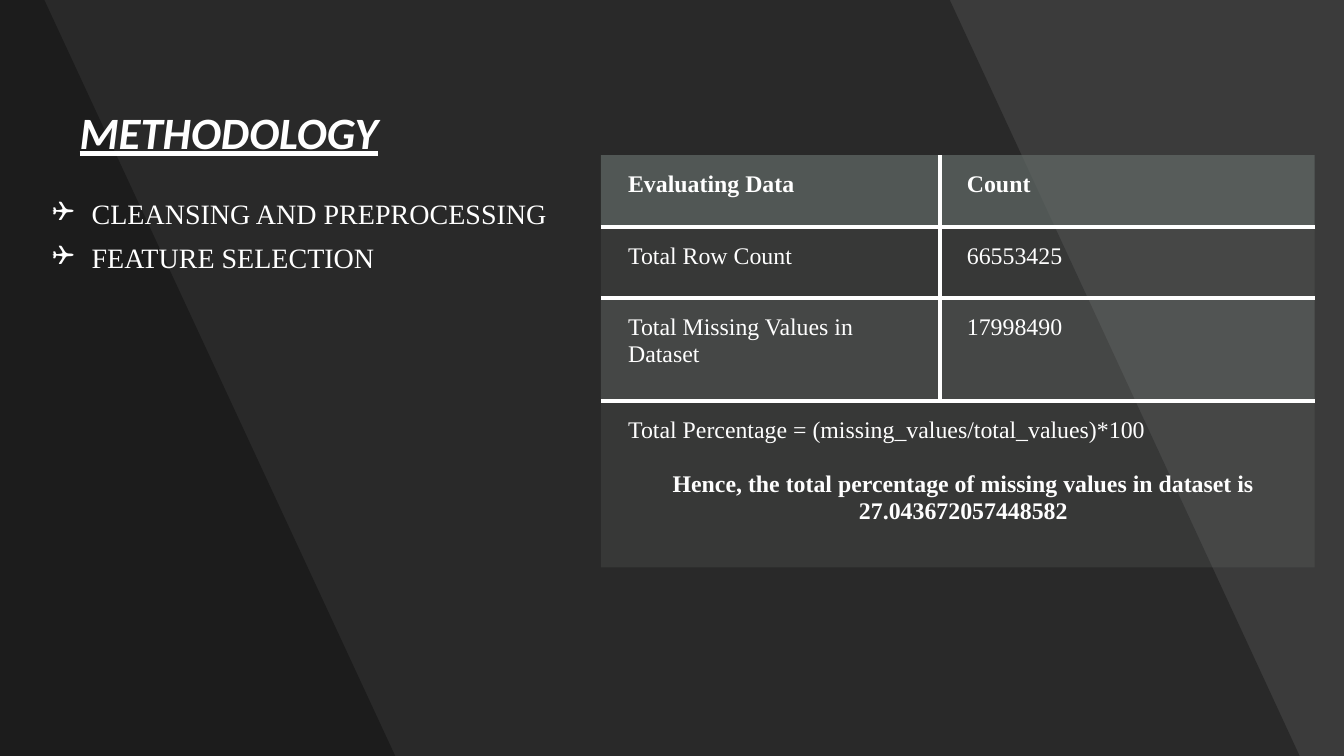
from lxml import etree
from pptx import Presentation
from pptx.dml.color import RGBColor
from pptx.enum.shapes import MSO_SHAPE as Preset
from pptx.enum.text import MSO_ANCHOR as Anchor, PP_ALIGN as Align
from pptx.oxml.ns import qn
from pptx.util import Inches, Pt

WIDTH, HEIGHT = 13.33, 7.5
WHITE, OFF_WHITE, BLACK = "FFFFFF", "FEFEFE", "000000"
HEADER_FILL, BODY_FILL = "636B68", "878E8B"
SERIF = "Times New Roman"

COLUMN_WIDTHS = [3.36, 3.72]
ROW_HEIGHTS = [0.71, 0.71, 1.02, 1.65]
ROW_FILLS = [(HEADER_FILL, 70), (BODY_FILL, 15), (BODY_FILL, 30), (BODY_FILL, 15)]
COUNTS = [
    ("Evaluating Data", "Count"),
    ("Total Row Count", "66553425"),
    ("Total Missing Values in Dataset", "17998490"),
]
FORMULA = "Total Percentage = (missing_values/total_values)*100"
CONCLUSION = "Hence, the total percentage of missing values in dataset is 27.043672057448582"


def rgb(color):
    return RGBColor.from_string(color)


def fill_translucent(fill, properties, color, opacity):
    """Fill with a colour at an opacity in percent; properties holds the fill's XML."""
    fill.solid()
    fill.fore_color.rgb = rgb(color)
    tint = properties.find(qn("a:solidFill")).find(qn("a:srgbClr"))
    etree.SubElement(tint, qn("a:alpha"), val=str(opacity * 1000))


def shade(shape, opacity):
    fill_translucent(shape.fill, shape._element.spPr, BLACK, opacity)
    shape.line.fill.background()
    shape.shadow.inherit = False


def add_slanted_band(slide, top_right, bottom_right):
    """Darken the area left of a slanted edge."""
    outline = slide.shapes.build_freeform(0, 0)
    corners = [(top_right, 0), (bottom_right, HEIGHT), (0, HEIGHT)]
    outline.add_line_segments([(Inches(x), Inches(y)) for x, y in corners])
    shade(outline.convert_to_shape(), 30)


def style(paragraph, size, font=SERIF, color=WHITE, bold=False):
    for run in paragraph.runs:
        run.font.size = Pt(size)
        run.font.name = font
        run.font.color.rgb = rgb(color)
        run.font.bold = bold


def add_text_frame(slide, left, top, width, height, anchor=Anchor.TOP):
    box = slide.shapes.add_textbox(*map(Inches, (left, top, width, height)))
    box.text_frame.word_wrap = True
    box.text_frame.vertical_anchor = anchor
    return box.text_frame


def add_title(slide, text):
    title = add_text_frame(slide, 0.69, 0.61, 11.51, 1.45, Anchor.MIDDLE).paragraphs[0]
    title.text = text
    title.line_spacing = 0.9
    style(title, 32, "Calibri", bold=True)
    title.runs[0].font.italic = True
    title.runs[0].font.underline = True


def add_bullet(paragraph, symbol):
    properties = paragraph._p.get_or_add_pPr()
    properties.set("marL", str(Inches(0.39)))
    properties.set("indent", str(Inches(-0.39)))
    bullet_color = etree.SubElement(properties, qn("a:buClr"))
    etree.SubElement(bullet_color, qn("a:srgbClr"), val=WHITE)
    etree.SubElement(properties, qn("a:buFont"), typeface="Wingdings")
    etree.SubElement(properties, qn("a:buChar"), char=symbol)


def add_checklist(slide, items):
    frame = add_text_frame(slide, 0.42, 1.94, 5.4, 4.36)
    frame.text = "\n".join(items)
    for index, item in enumerate(frame.paragraphs):
        add_bullet(item, "❑")
        item.line_spacing = 0.9
        if index:
            item.space_before = Pt(10)
        style(item, 20)


def set_borders(cell, visible):
    """Draw white lines on the named sides and clear the other sides."""
    properties = cell._tc.get_or_add_tcPr()
    for position, side in enumerate("LRTB"):
        line = etree.Element(qn(f"a:ln{side}"), w=str(Pt(3)))
        if side in visible:
            paint = etree.SubElement(line, qn("a:solidFill"))
            etree.SubElement(paint, qn("a:srgbClr"), val=WHITE)
        else:
            etree.SubElement(line, qn("a:noFill"))
        properties.insert(position, line)


def format_cell(cell, row, column):
    cell.margin_left = Inches(0.27)
    cell.margin_right = cell.margin_top = cell.margin_bottom = Inches(0.16)
    fill_translucent(cell.fill, cell._tc.get_or_add_tcPr(), *ROW_FILLS[row])
    last = len(ROW_HEIGHTS) - 1
    sides = "T" if row > 0 else ""
    if row < last:
        sides += "B" + "RL"[column]
    set_borders(cell, sides)


def add_counts_table(slide):
    table = slide.shapes.add_table(
        len(ROW_HEIGHTS), len(COLUMN_WIDTHS), Inches(5.96), Inches(1.54),
        Inches(sum(COLUMN_WIDTHS)), Inches(sum(ROW_HEIGHTS))).table
    for column, width in zip(table.columns, COLUMN_WIDTHS):
        column.width = Inches(width)
    for row, height in zip(table.rows, ROW_HEIGHTS):
        row.height = Inches(height)
    for row in range(len(ROW_HEIGHTS)):
        for column in range(len(COLUMN_WIDTHS)):
            format_cell(table.cell(row, column), row, column)

    for row, texts in enumerate(COUNTS):
        for column, text in enumerate(texts):
            cell = table.cell(row, column)
            cell.text = text
            style(cell.text_frame.paragraphs[0], 17,
                  color=OFF_WHITE if row else WHITE, bold=row == 0)

    summary = table.cell(len(COUNTS), 0)
    summary.merge(table.cell(len(COUNTS), 1))
    summary.text = f"{FORMULA}\n{CONCLUSION}"
    formula, conclusion = summary.text_frame.paragraphs
    formula.alignment = Align.JUSTIFY
    style(formula, 17, color=OFF_WHITE)
    conclusion.alignment = Align.CENTER
    conclusion.space_before = Pt(19.5)
    style(conclusion, 17, color=OFF_WHITE, bold=True)


def main():
    deck = Presentation()
    deck.slide_width, deck.slide_height = Inches(WIDTH), Inches(HEIGHT)
    slide = deck.slides.add_slide(deck.slide_layouts[6])
    slide.background.fill.solid()
    slide.background.fill.fore_color.rgb = rgb("414141")
    veil = slide.shapes.add_shape(Preset.RECTANGLE, 0, 0, Inches(WIDTH), Inches(HEIGHT))
    shade(veil, 9)
    add_slanted_band(slide, 9.42, 12.89)
    add_slanted_band(slide, 0.44, 3.92)
    add_title(slide, "METHODOLOGY")
    add_checklist(slide, ["CLEANSING AND PREPROCESSING", "FEATURE SELECTION"])
    add_counts_table(slide)
    deck.save("out.pptx")


if __name__ == "__main__":
    main()
